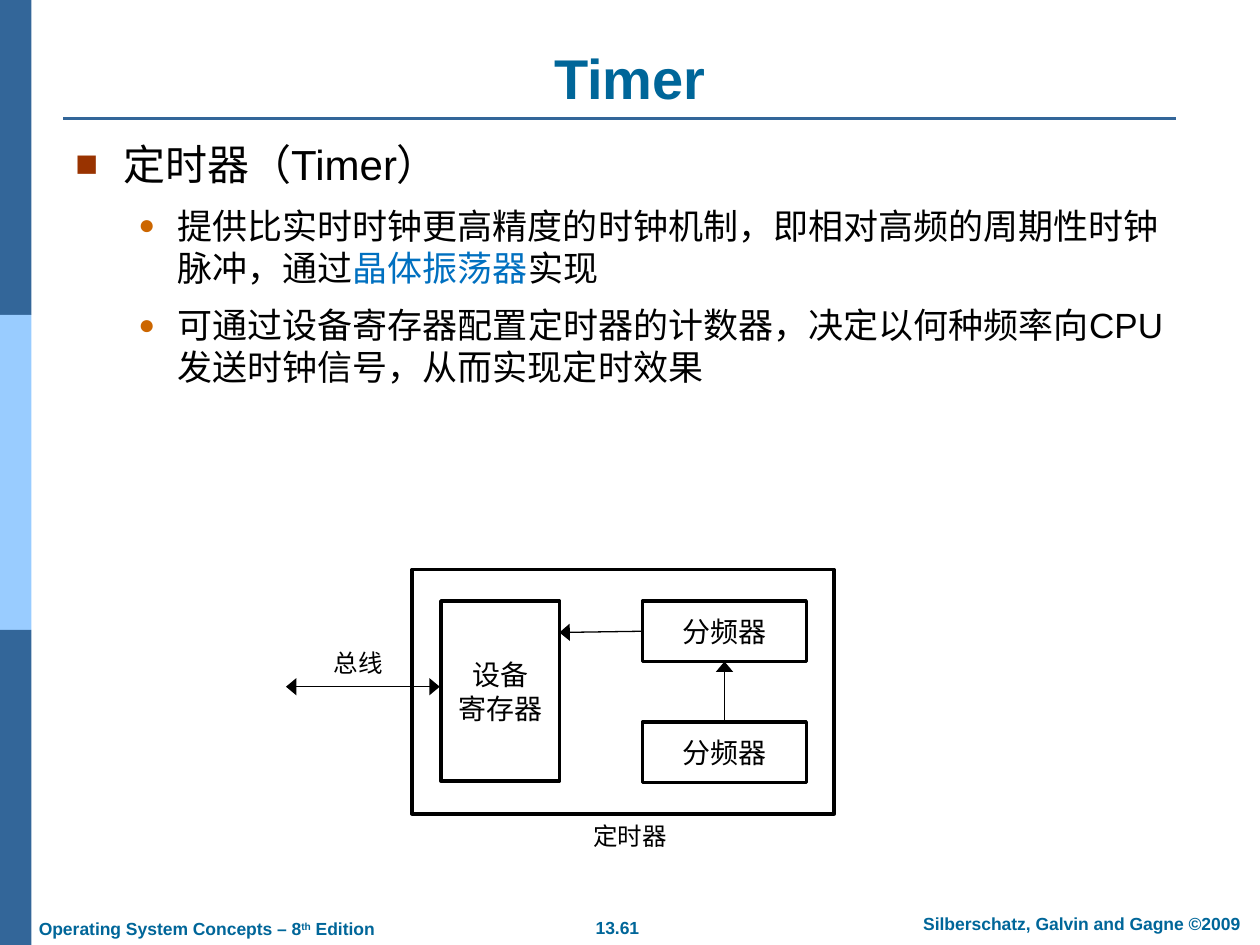
from dataclasses import dataclass
from typing import NamedTuple, Optional

from lxml.etree import SubElement
from pptx import Presentation
from pptx.dml.color import RGBColor
from pptx.enum.shapes import MSO_CONNECTOR, MSO_SHAPE
from pptx.enum.text import MSO_ANCHOR, MSO_AUTO_SIZE, PP_ALIGN
from pptx.oxml.ns import qn
from pptx.util import Inches, Pt


@dataclass(frozen=True)
class Theme:
    navy: str = "336699"
    sky: str = "99CCFF"
    teal: str = "006699"
    accent: str = "0070C0"
    black: str = "000000"
    white: str = "FFFFFF"
    latin: str = "Arial"
    cjk: str = "Noto Sans CJK SC"
    label_font: str = "DejaVu Sans"
    title: int = 32
    heading: int = 24
    body: int = 20
    box: int = 16
    label: int = 14
    footer: int = 10


T = Theme()


class Run(NamedTuple):
    text: str
    font: str = T.cjk
    color: str = T.black
    baseline: int = 0


class Level(NamedTuple):
    size: int
    margin: float
    indent: float
    before: float
    char: str
    color: str
    scale: int


class Item(NamedTuple):
    level: int
    runs: list[Run]


class Box(NamedTuple):
    x: float
    y: float
    w: float
    h: float
    lines: tuple[str, ...] = ()


class Arrow(NamedTuple):
    x1: float
    y1: float
    x2: float
    y2: float
    both: bool = False


class Label(NamedTuple):
    box: Box
    runs: list[Run]
    size: int
    bold: bool = False
    align: PP_ALIGN = PP_ALIGN.LEFT
    anchor: MSO_ANCHOR = MSO_ANCHOR.TOP
    grow: bool = True


LEVELS = [
    Level(T.heading, 0.38, -0.38, 10.5, "■", "993300", 90),
    Level(T.body, 0.81, -0.31, 8.8, "●", "CC6600", 80),
]
ITEMS = [
    Item(0, [Run("定时器（"), Run("Timer", T.latin), Run("）")]),
    Item(1, [Run("提供比实时时钟更高精度的时钟机制，即相对高频的周期性时钟脉冲，通过"),
             Run("晶体振荡器", color=T.accent), Run("实现")]),
    Item(1, [Run("可通过设备"),
             Run("寄存器配置定时器的计数器，决定以何种频率向CPU发送时钟信号，从而实现定时效果", T.latin)]),
]
BANDS = [T.navy, T.sky, T.navy]
BOXES = [
    Box(3.27, 4.52, 3.35, 1.94),
    Box(3.5, 4.77, 0.94, 1.43, ("设备", "寄存器")),
    Box(5.1, 4.77, 1.3, 0.48, ("分频器",)),
    Box(5.1, 5.73, 1.3, 0.48, ("分频器",)),
]
ARROWS = [
    Arrow(5.1, 5.01, 4.44, 5.02),
    Arrow(5.75, 5.73, 5.75, 5.25),
    Arrow(2.27, 5.45, 3.49, 5.45, both=True),
]
LABELS = [
    Label(Box(0.5, 0.3, 9, 0.63), [Run("Timer", T.latin, T.teal)], T.title, True,
          PP_ALIGN.CENTER, MSO_ANCHOR.BOTTOM, grow=False),
    Label(Box(2.55, 5.09, 0.6, 0.34), [Run("总线", T.label_font)], T.label),
    Label(Box(4.61, 6.47, 0.8, 0.34), [Run("定时器", T.label_font)], T.label),
    Label(Box(4.37, 7.23, 1.06, 0.27), [Run("13.61", T.latin, T.teal)], T.footer, True,
          PP_ALIGN.CENTER),
    Label(Box(7.1, 7.2, 2.97, 0.27),
          [Run("Silberschatz, Galvin and Gagne ©2009", T.latin, T.teal)], T.footer, True,
          PP_ALIGN.CENTER),
    Label(Box(0.21, 7.24, 2.9, 0.27),
          [Run("Operating System Concepts – 8", T.latin, T.teal),
           Run("th", T.latin, T.teal, 30), Run(" Edition", T.latin, T.teal)], T.footer, True),
]


def rgb(color: str) -> RGBColor:
    return RGBColor.from_string(color)


def add_run(p, run: Run, size: int, bold: bool = False) -> None:
    r = p.add_run()
    r.text = run.text
    r.font.name, r.font.size, r.font.bold = run.font, Pt(size), bold
    r.font.color.rgb = rgb(run.color)
    rPr = r.font._element
    SubElement(rPr, qn("a:ea")).set("typeface", T.cjk if run.font == T.latin else run.font)
    if run.baseline:
        rPr.set("baseline", f"{run.baseline * 1000}")


def add_rect(s, box: Box, fill: str, line: Optional[str] = None) -> None:
    sp = s.shapes.add_shape(MSO_SHAPE.RECTANGLE, *map(Inches, box[:4]))
    sp.shadow.inherit = False
    sp.fill.solid()
    sp.fill.fore_color.rgb = rgb(fill)
    if line is None:
        sp.line.fill.background()
    else:
        sp.line.color.rgb = rgb(line)
        sp.line.width = Pt(2)
    tf = sp.text_frame
    tf.word_wrap = False
    tf.vertical_anchor = MSO_ANCHOR.MIDDLE
    for i, text in enumerate(box.lines):
        p = tf.add_paragraph() if i else tf.paragraphs[0]
        p.alignment = PP_ALIGN.CENTER
        add_run(p, Run(text), T.box)


def add_line(s, path: Arrow, color: str, width: float, ends: tuple[str, ...] = ()) -> None:
    cx = s.shapes.add_connector(MSO_CONNECTOR.STRAIGHT, *map(Inches, path[:4]))
    cx.line.color.rgb = rgb(color)
    cx.line.width = Pt(width)
    ln = cx.line._get_or_add_ln()
    for end in ends:
        head = SubElement(ln, qn(f"a:{end}"))
        head.set("type", "triangle")
        head.set("w", "lg")
    SubElement(cx._element.spPr, qn("a:effectLst"))


def add_label(s, label: Label) -> None:
    tf = s.shapes.add_textbox(*map(Inches, label.box[:4])).text_frame
    tf.word_wrap = not label.grow
    tf.auto_size = MSO_AUTO_SIZE.SHAPE_TO_FIT_TEXT if label.grow else MSO_AUTO_SIZE.NONE
    tf.vertical_anchor = label.anchor
    p = tf.paragraphs[0]
    p.alignment = label.align
    for run in label.runs:
        add_run(p, run, label.size, label.bold)


def add_bullets(s, box: Box, items: list[Item]) -> None:
    tf = s.shapes.add_textbox(*map(Inches, box[:4])).text_frame
    tf.word_wrap = True
    for i, item in enumerate(items):
        level = LEVELS[item.level]
        p = tf.add_paragraph() if i else tf.paragraphs[0]
        p.level = item.level
        if i:
            p.space_before = Pt(level.before)
        pPr = p._p.get_or_add_pPr()
        pPr.set("marL", str(Inches(level.margin)))
        pPr.set("indent", str(Inches(level.indent)))
        SubElement(SubElement(pPr, qn("a:buClr")), qn("a:srgbClr")).set("val", level.color)
        SubElement(pPr, qn("a:buSzPct")).set("val", str(level.scale * 1000))
        SubElement(pPr, qn("a:buFont")).set("typeface", T.latin)
        SubElement(pPr, qn("a:buChar")).set("char", level.char)
        for run in item.runs:
            add_run(p, run, level.size)


def main() -> None:
    prs = Presentation()
    prs.slide_width, prs.slide_height = Inches(10), Inches(7.5)
    s = prs.slides.add_slide(prs.slide_layouts[6])
    for i, color in enumerate(BANDS):
        add_rect(s, Box(0, 2.5 * i, 0.25, 2.5), color)
    add_line(s, Arrow(0.5, 0.94, 9.33, 0.94), T.navy, 1.5)
    add_bullets(s, Box(0.5, 1.05, 9, 2.97), ITEMS)
    for box in BOXES:
        add_rect(s, box, T.white, T.black)
    for arrow in ARROWS:
        add_line(s, arrow, T.black, 0.75, ("headEnd", "tailEnd") if arrow.both else ("tailEnd",))
    for label in LABELS:
        add_label(s, label)
    prs.save("out.pptx")


if __name__ == "__main__":
    main()
